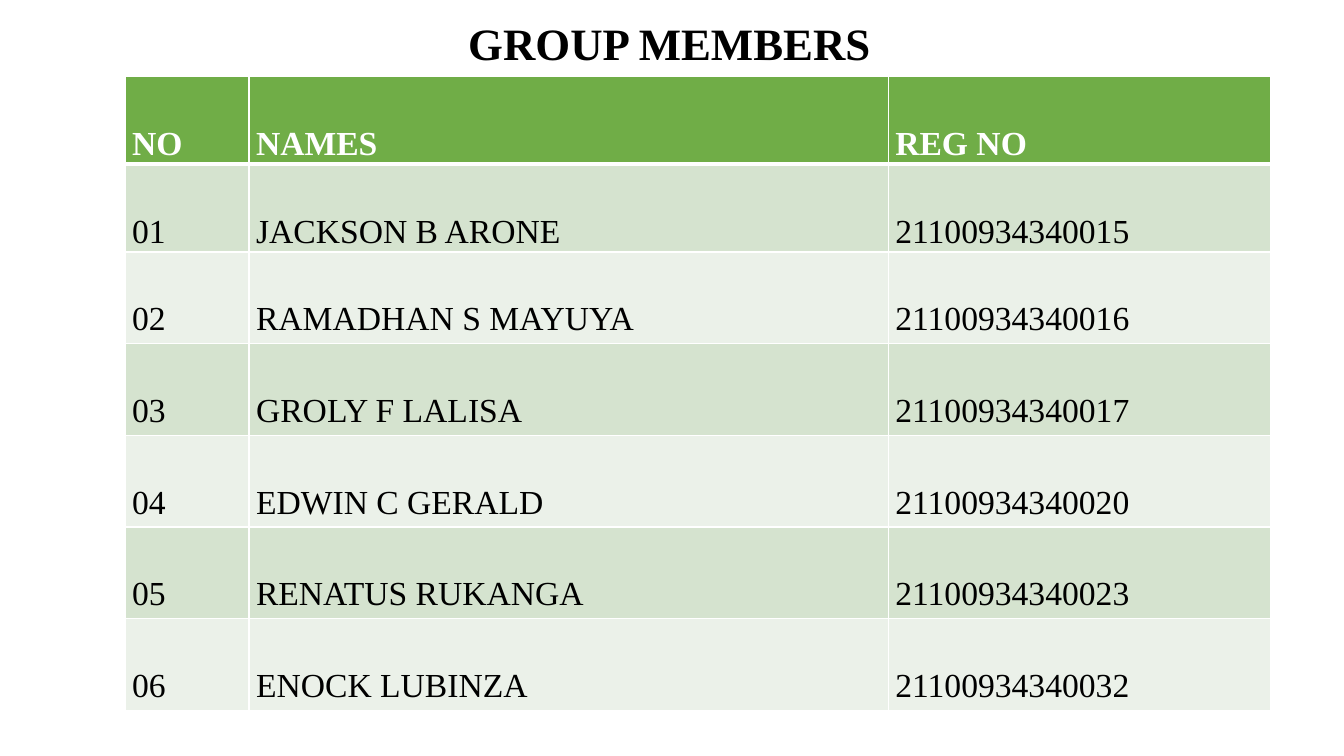
from dataclasses import dataclass

from lxml.etree import SubElement
from pptx import Presentation
from pptx.dml.color import RGBColor
from pptx.enum.text import MSO_ANCHOR, MSO_AUTO_SIZE, PP_ALIGN
from pptx.oxml.ns import qn
from pptx.util import Inches, Pt


@dataclass(frozen=True)
class Theme:
    font: str = "Times New Roman"
    title_size: int = 32
    table_size: int = 24
    text: str = "000000"
    header_text: str = "FFFFFF"
    header_fill: str = "70AD47"
    band_fills: tuple = ("D5E3CF", "EBF1E9")
    border: str = "FFFFFF"
    border_width: int = 1
    header_rule_width: int = 3


MEMBERS = [
    ("NO", "NAMES", "REG NO"),
    ("01", "JACKSON B ARONE", "21100934340015"),
    ("02", "RAMADHAN S MAYUYA", "21100934340016"),
    ("03", "GROLY F LALISA", "21100934340017"),
    ("04", "EDWIN C GERALD", "21100934340020"),
    ("05", "RENATUS RUKANGA", "21100934340023"),
    ("06", "ENOCK LUBINZA", "21100934340032"),
]
COLUMN_WIDTHS = (1.23, 6.34, 3.79)
ROW_HEIGHTS = [0.87] * 2 + [0.91] * 5


def set_attributes(target, values):
    for name, value in values.items():
        setattr(target, name, value)


class SlideBuilder:
    def __init__(self, slide, theme):
        self.slide = slide
        self.theme = theme

    def format_text(self, paragraph, size, color, bold):
        set_attributes(paragraph.font, {
            "name": self.theme.font, "size": Pt(size), "bold": bold})
        paragraph.font.color.rgb = RGBColor.from_string(color)

    def add_title(self, text, left, top, width, height):
        title = self.slide.shapes.title
        set_attributes(title, {
            "left": Inches(left), "top": Inches(top),
            "width": Inches(width), "height": Inches(height)})
        frame = title.text_frame
        frame.text = text
        set_attributes(frame, {
            "word_wrap": True, "auto_size": MSO_AUTO_SIZE.NONE,
            "vertical_anchor": MSO_ANCHOR.MIDDLE,
            "margin_top": 0, "margin_bottom": 0})
        paragraph = frame.paragraphs[0]
        paragraph.alignment = PP_ALIGN.CENTER
        self.format_text(paragraph, self.theme.title_size, self.theme.text, True)

    def add_borders(self, cell, top, bottom):
        side = self.theme.border_width
        properties = cell._tc.get_or_add_tcPr()
        for tag, width in (("lnL", side), ("lnR", side), ("lnT", top), ("lnB", bottom)):
            line = SubElement(properties, qn(f"a:{tag}"), w=str(Pt(width)))
            fill = SubElement(line, qn("a:solidFill"))
            SubElement(fill, qn("a:srgbClr"), val=self.theme.border)

    def format_cell(self, cell, text, row):
        theme = self.theme
        is_header = row == 0
        thin, thick = theme.border_width, theme.header_rule_width
        self.add_borders(cell, thick if row == 1 else thin, thick if is_header else thin)

        fill = theme.header_fill if is_header else theme.band_fills[(row - 1) % 2]
        cell.fill.solid()
        cell.fill.fore_color.rgb = RGBColor.from_string(fill)
        set_attributes(cell, {
            "text": text, "vertical_anchor": MSO_ANCHOR.TOP,
            "margin_left": Inches(0.07), "margin_right": Inches(0.07),
            "margin_top": Inches(0.46), "margin_bottom": 0})

        paragraph = cell.text_frame.paragraphs[0]
        paragraph.line_spacing = 1.07
        color = theme.header_text if is_header else theme.text
        self.format_text(paragraph, theme.table_size, color, is_header)

    def add_table(self, rows, left, top, column_widths, row_heights):
        frame = self.slide.shapes.add_table(
            len(rows), len(column_widths), Inches(left), Inches(top),
            Inches(sum(column_widths)), Inches(sum(row_heights)))
        table = frame.table
        for column, width in zip(table.columns, column_widths):
            column.width = Inches(width)
        for table_row, height in zip(table.rows, row_heights):
            table_row.height = Inches(height)
        for row, values in enumerate(rows):
            for column, text in enumerate(values):
                self.format_cell(table.cell(row, column), text, row)


def main():
    presentation = Presentation()
    presentation.slide_width = Inches(13.33)
    presentation.slide_height = Inches(7.5)
    title_only = presentation.slide_layouts[5]
    builder = SlideBuilder(presentation.slides.add_slide(title_only), Theme())

    # Heading
    builder.add_title("GROUP MEMBERS", 0.54, 0.12, 12.2, 0.61)

    # Member list
    builder.add_table(MEMBERS, 1.24, 0.76, COLUMN_WIDTHS, ROW_HEIGHTS)

    presentation.save("out.pptx")


if __name__ == "__main__":
    main()
